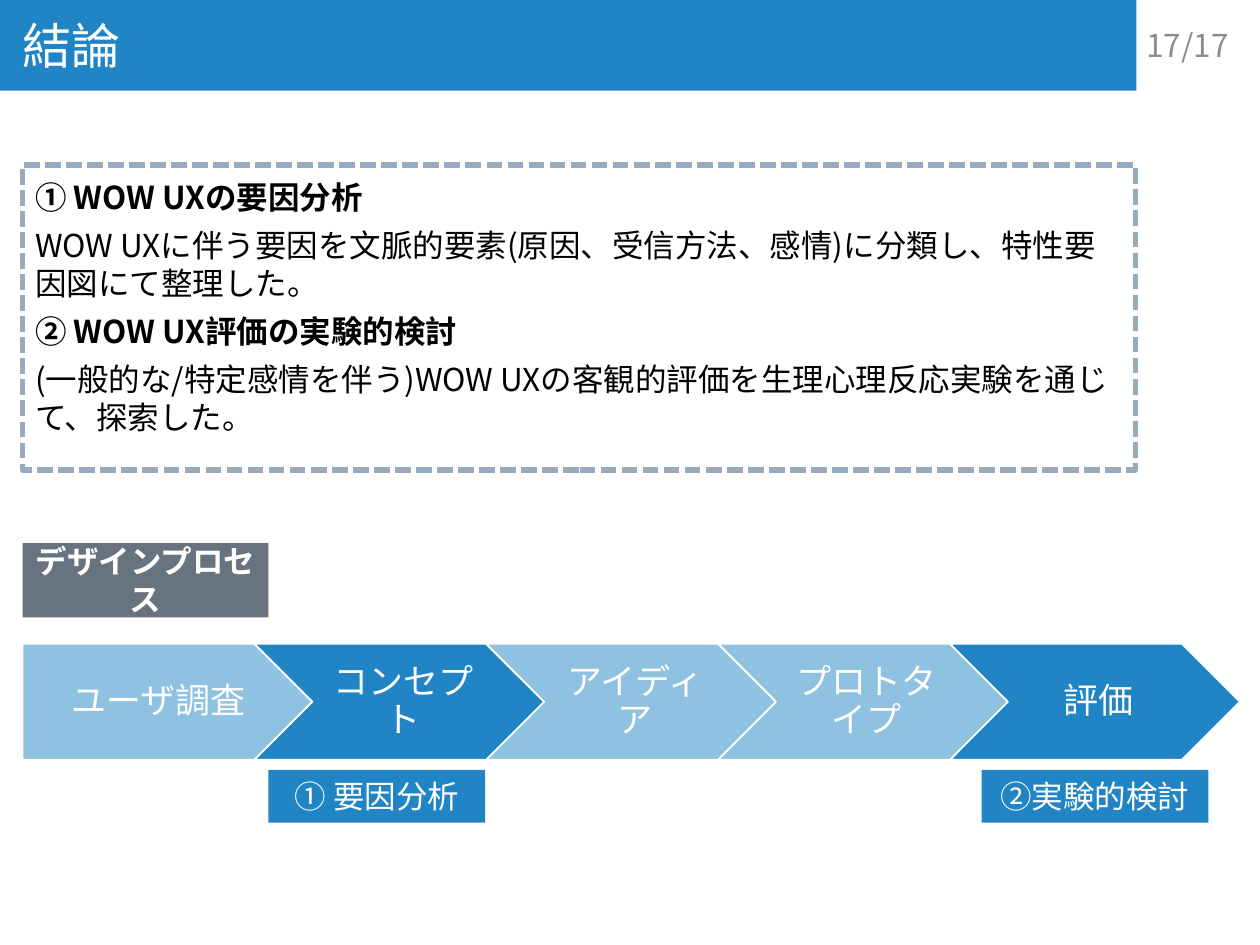
from lxml import etree
from pptx import Presentation, util as u
from pptx.dml.color import RGBColor
from pptx.enum import dml, shapes, text
from pptx.oxml.ns import qn

FONT = "Noto Sans CJK JP"
COLORS = {"blue": "2185C5", "slate": "677480", "border": "97ABBC",
          "white": "FFFFFF", "black": "000000", "grey": "8C8C8C"}

TITLE, PAGE = "結論", "17/17"
FINDINGS = [
    ("① WOW UXの要因分析",
     "WOW UXに伴う要因を文脈的要素(原因、受信方法、感情)に分類し、特性要因図にて整理した。"),
    ("② WOW UX評価の実験的検討",
     "(一般的な/特定感情を伴う)WOW UXの客観的評価を生理心理反応実験を通じて、探索した。"),
]
PROCESS = "デザインプロセス"
STEPS = [("ユーザ調査", False), ("コンセプト", True), ("アイディア", False),
         ("プロトタイプ", False), ("評価", True)]  # label, highlighted
TAGS = [("① 要因分析", 2.13, 1.72), ("②実験的検討", 7.79, 1.8)]  # label, left, width

MARGIN = 0.18
STEP_TOP, STEP_W, STEP_H = 5.11, 2.3, 0.92
POINT = STEP_H / 2            # depth of an arrow's point
PITCH = STEP_W - POINT
TAG_TOP, TAG_H = 6.11, 0.42

ALIGN = text.PP_ALIGN
SHAPE = shapes.MSO_SHAPE

prs = Presentation()
prs.slide_width, prs.slide_height = u.Inches(10), u.Inches(7.5)
s = prs.slides.add_slide(prs.slide_layouts[6])


def color(name):
    return RGBColor.from_string(COLORS[name])


def add_shape(kind, box, fill=None, alpha=None, line=None, width=1):
    sp = s.shapes.add_shape(kind, *map(u.Inches, box))
    sp.shadow.inherit = False
    if fill:
        sp.fill.solid()
        sp.fill.fore_color.rgb = color(fill)
    else:
        sp.fill.background()
    if alpha:
        rgb = sp.fill._xPr.find(".//" + qn("a:srgbClr"))
        etree.SubElement(rgb, qn("a:alpha")).set("val", str(alpha * 1000))
    if line:
        sp.line.color.rgb = color(line)
        sp.line.width = u.Pt(width)
    else:
        sp.line.fill.background()
    return sp


def add_textbox(box):
    return s.shapes.add_textbox(*map(u.Inches, box))


def write(sp, lines, size=18, ink="white", align=ALIGN.CENTER, bold=(False,),
          insets=(0.1, 0.05, 0.1, 0.05), anchor=text.MSO_ANCHOR.MIDDLE,
          before=0, spacing=None):
    """Fill a shape with paragraphs; bold holds one flag per paragraph."""
    tf = sp.text_frame
    tf.text = "\n".join(lines)
    tf.word_wrap = True
    tf.vertical_anchor = anchor
    (tf.margin_left, tf.margin_top,
     tf.margin_right, tf.margin_bottom) = map(u.Inches, insets)
    for p, strong in zip(tf.paragraphs, bold):
        p.alignment, p.space_before = align, u.Pt(before)
        if spacing:
            p.line_spacing = spacing
        for r in p.runs:
            r.font.size, r.font.bold, r.font.name = u.Pt(size), strong, FONT
            r.font.color.rgb = color(ink)
            etree.SubElement(r.font._element, qn("a:ea")).set("typeface", FONT)


write(add_shape(SHAPE.RECTANGLE, (0, 0, 9.02, 0.72), "blue"), [TITLE], size=28,
      align=ALIGN.LEFT, insets=(MARGIN, 0.05, 0.1, 0.05))

findings = add_shape(SHAPE.RECTANGLE, (MARGIN, 1.31, 8.83, 2.42),
                     line="border", width=3)
findings.line.dash_style = dml.MSO_LINE.SQUARE_DOT
findings.line._ln.find(qn("a:prstDash")).set("val", "sysDash")
write(findings, [line for pair in FINDINGS for line in pair], ink="black",
      align=ALIGN.LEFT, bold=(True, False) * len(FINDINGS), insets=(0.1,) * 4,
      anchor=text.MSO_ANCHOR.TOP, before=6)

for i, (label, active) in enumerate(STEPS):
    left = MARGIN + i * PITCH
    add_shape(SHAPE.CHEVRON if i else SHAPE.PENTAGON,
              (left, STEP_TOP, STEP_W, STEP_H), "blue",
              alpha=None if active else 50, line="white")
    if i:
        label_left, label_w, inset = left + POINT, STEP_W - 2 * POINT, 0.09
    else:
        label_left, label_w, inset = left, STEP_W - POINT / 2, 0.12
    write(add_textbox((label_left, STEP_TOP, label_w, STEP_H)), [label], size=20,
          insets=(inset, 0.06, 0.03, 0.06), spacing=0.9)

for label, left, width in TAGS:
    write(add_shape(SHAPE.RECTANGLE, (left, TAG_TOP, width, TAG_H), "blue"), [label])

write(add_shape(SHAPE.RECTANGLE, (MARGIN, 4.31, 1.95, 0.59), "slate"),
      [PROCESS], bold=(True,))
write(add_textbox((8.87, 0.14, 0.98, 0.44)), [PAGE], ink="grey", align=ALIGN.RIGHT)

prs.save("out.pptx")
